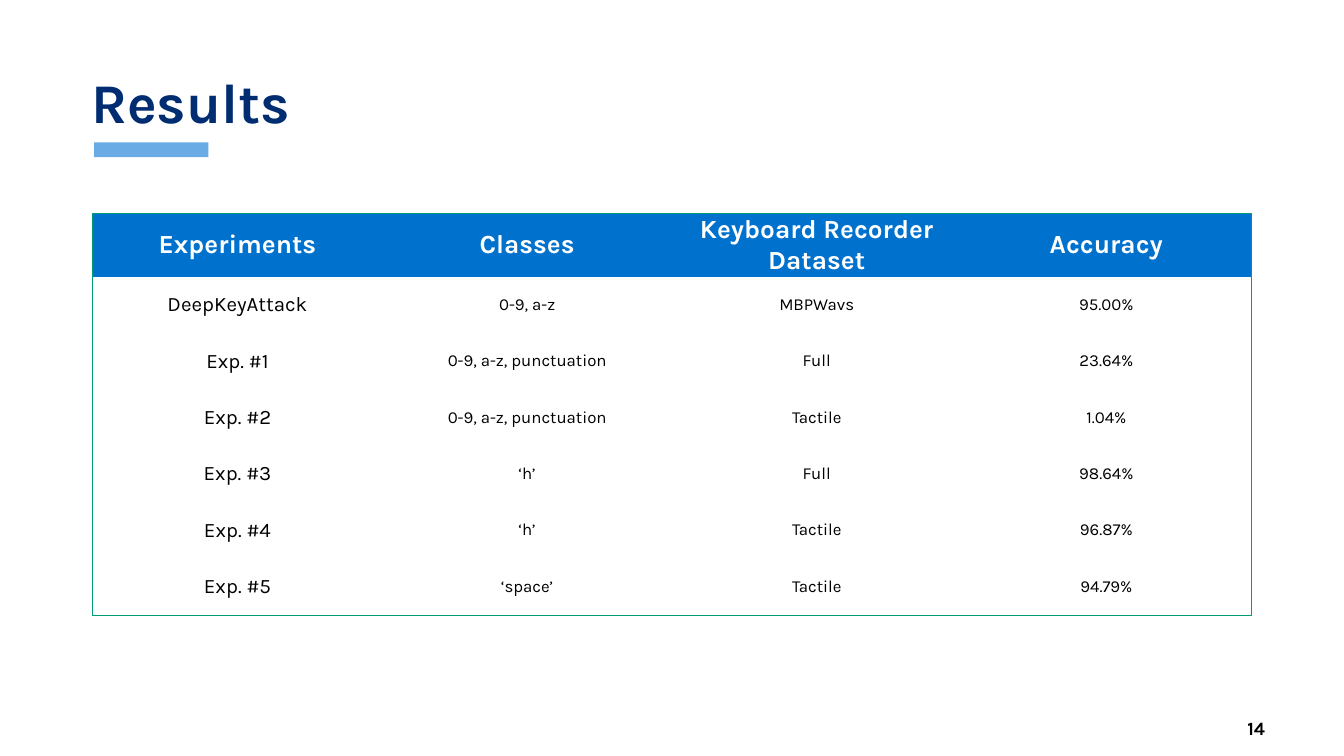
from lxml import etree
from pptx import Presentation
from pptx import util as u
from pptx.dml.color import RGBColor
from pptx.enum import shapes, text
from pptx.oxml.ns import qn

NAVY = RGBColor(0x00, 0x2D, 0x72)
BLUE = RGBColor(0x00, 0x72, 0xCE)
SKY = RGBColor(0x69, 0xAC, 0xE5)
GREEN = RGBColor(0x00, 0x9B, 0x77)
WHITE = RGBColor(0xFF, 0xFF, 0xFF)
BLACK = RGBColor(0x00, 0x00, 0x00)

PX = 9144  # 100 px to the inch
SLIDE_WIDTH = 1000
HEADER_HEIGHT, ROW_HEIGHT = 32, 42

RESULTS = [
    ("Experiments", "Classes", "Keyboard Recorder Dataset", "Accuracy"),
    ("DeepKeyAttack", "0-9, a-z", "MBPWavs", "95.00%"),
    ("Exp. #1", "0-9, a-z, punctuation", "Full", "23.64%"),
    ("Exp. #2", "0-9, a-z, punctuation", "Tactile", "1.04%"),
    ("Exp. #3", "‘h’", "Full", "98.64%"),
    ("Exp. #4", "‘h’", "Tactile", "96.87%"),
    ("Exp. #5", "‘space’", "Tactile", "94.79%"),
]


def box(left, top, width, height):
    return [u.Emu(length * PX) for length in (left, top, width, height)]


def set_values(target, values):
    for name, value in values.items():
        setattr(target, name, value)


def write(frame, words, size, color, bold, **paragraph_format):
    paragraph = frame.paragraphs[0]
    run = paragraph.add_run()
    run.text = words
    set_values(paragraph, paragraph_format)
    set_values(run.font, {"name": "Karla", "size": u.Pt(size), "bold": bold})
    run.font.color.rgb = color


def add_title(slide, words):
    title = slide.shapes.title
    set_values(title, dict(zip(("left", "top", "width", "height"), box(58, 12, 884, 94))))
    set_values(title.text_frame, {
        "vertical_anchor": text.MSO_ANCHOR.BOTTOM,
        "auto_size": text.MSO_AUTO_SIZE.NONE,
        "word_wrap": True,
    })
    write(title.text_frame, words, 30, NAVY, True,
          alignment=text.PP_ALIGN.LEFT, line_spacing=0.9)


def add_accent_bar(slide):
    bar = slide.shapes.add_shape(shapes.MSO_SHAPE.RECTANGLE, *box(70, 106, 85, 11))
    bar.shadow.inherit = False
    bar.fill.solid()
    bar.fill.fore_color.rgb = SKY
    bar.line.fill.background()


def add_page_number(slide, number):
    frame = slide.shapes.add_textbox(*box(864, 532, 87, 19)).text_frame
    set_values(frame, {
        "word_wrap": True,
        "vertical_anchor": text.MSO_ANCHOR.MIDDLE,
        "margin_top": 0,
        "margin_bottom": 0,
    })
    write(frame, number, 10, BLACK, True, alignment=text.PP_ALIGN.RIGHT)


def set_borders(cell, sides):
    """Draw a thin green line on the sides marked true, none on the others."""
    properties = cell._tc.get_or_add_tcPr()
    for side, visible in sides.items():
        line = etree.SubElement(properties, qn(f"a:ln{side}"), w=str(u.Pt(0.5)))
        if visible:
            fill = etree.SubElement(line, qn("a:solidFill"))
            etree.SubElement(fill, qn("a:srgbClr"), val=str(GREEN))
        else:
            etree.SubElement(line, qn("a:noFill"))


def add_results_table(slide, rows):
    last_row, last_column = len(rows) - 1, len(rows[0]) - 1
    frame = slide.shapes.add_table(len(rows), len(rows[0]), *box(69, 159, 862, 301))
    table = frame.table
    set_values(table, {"first_row": False, "horz_banding": False})
    for r, row in enumerate(rows):
        header = r == 0
        # The header grows to fit its two lines
        table.rows[r].height = u.Emu((HEADER_HEIGHT if header else ROW_HEIGHT) * PX)
        for c, words in enumerate(row):
            cell = table.cell(r, c)
            set_values(cell, {
                "margin_left": u.Emu(7 * PX),
                "margin_right": u.Emu(7 * PX),
                "margin_top": 0,
                "margin_bottom": 0,
                "vertical_anchor": text.MSO_ANCHOR.MIDDLE,
            })
            set_borders(cell, {"L": c == 0, "R": c == last_column,
                               "T": header, "B": r == last_row})
            if header:
                cell.fill.solid()
                cell.fill.fore_color.rgb = BLUE
            else:
                cell.fill.background()
            size = 14 if header else 11 if c == 0 else 9
            write(cell.text_frame, words, size, WHITE if header else BLACK, header,
                  alignment=text.PP_ALIGN.CENTER)
    frame.height = u.Emu(301 * PX)


def main():
    deck = Presentation()
    # Widescreen, 16 to 9
    deck.slide_width = u.Emu(SLIDE_WIDTH * PX)
    deck.slide_height = u.Emu(SLIDE_WIDTH * PX * 9 // 16)
    slide = deck.slides.add_slide(deck.slide_layouts[5])

    # Heading and page furniture
    add_accent_bar(slide)
    add_page_number(slide, "14")
    add_title(slide, "Results")

    # Experiment results
    add_results_table(slide, RESULTS)

    deck.save("out.pptx")


if __name__ == "__main__":
    main()
